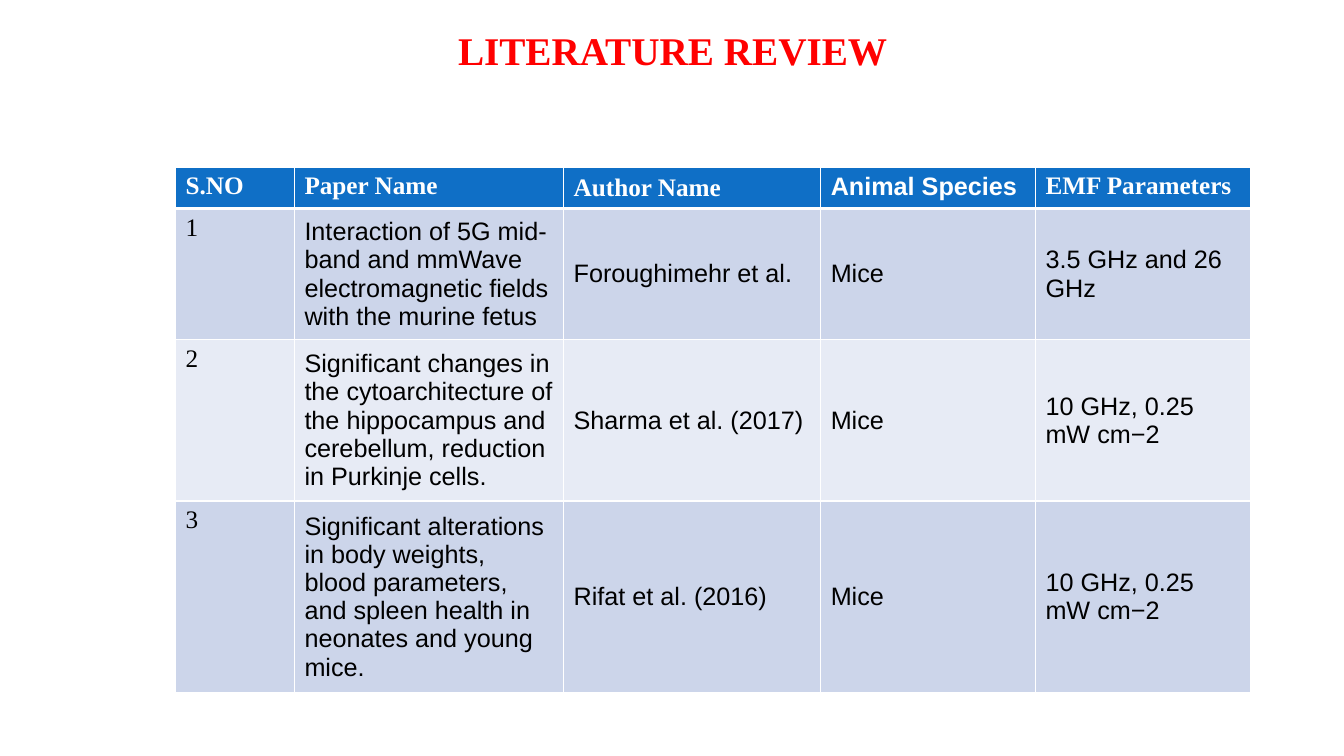
from dataclasses import dataclass
from pptx import Presentation
from pptx import util as u
from pptx.dml.color import RGBColor
from pptx.enum import text as t
from pptx.oxml import parse_xml
from pptx.oxml.ns import nsdecls


@dataclass(frozen=True)
class Theme:
    serif: str = "Times New Roman"
    sans: str = "Arial"
    title: str = "FF0000"
    head: str = "0F6FC6"
    odd: str = "CCD5EA"
    even: str = "E7EBF5"
    white: str = "FFFFFF"
    black: str = "000000"
    big: int = 28
    body: int = 18


THEME = Theme()
WIDTHS = [1.18, 2.67, 2.55, 2.13, 2.13]
HEIGHTS = [0.41, 1.22, 1.5, 1.78]
ROWS = [
    ["S.NO", "Paper Name", "Author Name", "Animal Species", "EMF Parameters"],
    ["1", "Interaction of 5G mid-band and mmWave electromagnetic fields with the murine fetus",
     "Foroughimehr et al.", "Mice", "3.5 GHz and 26 GHz"],
    ["2", "Significant changes in the cytoarchitecture of the hippocampus and cerebellum, "
     "reduction in Purkinje cells.", "Sharma et al. (2017)", "Mice", "10 GHz, 0.25 mW cm−2"],
    ["3", "Significant alterations in body weights, blood parameters, and spleen health in "
     "neonates and young mice.", "Rifat et al. (2016)", "Mice", "10 GHz, 0.25 mW cm−2"],
]


def apply(item, values):
    for name, value in values.items():
        setattr(item, name, value)


def write(para, words, face, size, color, bold):
    run = para.add_run()
    run.text = words
    apply(run.font, {"name": face, "size": u.Pt(size), "bold": bold})
    run.font.color.rgb = RGBColor.from_string(color)


def border(cell, sides):
    props = cell._tc.get_or_add_tcPr()
    for spot, (side, width) in enumerate(sides.items()):
        props.insert(spot, parse_xml(
            f'<a:ln{side} {nsdecls("a")} w="{u.Pt(width)}"><a:solidFill>'
            f'<a:srgbClr val="{THEME.white}"/></a:solidFill></a:ln{side}>'))


def add_title(slide, left, top, width, height):
    box = slide.shapes.add_textbox(*map(u.Inches, (left, top, width, height)))
    apply(box.text_frame, {
        "word_wrap": True, "vertical_anchor": t.MSO_ANCHOR.BOTTOM,
        "margin_left": 0, "margin_top": u.Inches(0.05),
        "margin_right": 0, "margin_bottom": 0})
    para = box.text_frame.paragraphs[0]
    para.alignment = t.PP_ALIGN.CENTER
    write(para, "LITERATURE REVIEW", THEME.serif, THEME.big, THEME.title, True)


def fill_cell(cell, row, col, words):
    head = row == 0
    serif = col == 0 or (head and col != 3)
    middle = col == 2 if head else col > 0
    shade = THEME.head if head else THEME.odd if row % 2 else THEME.even
    cell.fill.solid()
    cell.fill.fore_color.rgb = RGBColor.from_string(shade)
    cell.vertical_anchor = t.MSO_ANCHOR.MIDDLE if middle else t.MSO_ANCHOR.TOP
    write(cell.text_frame.paragraphs[0], words, THEME.serif if serif else THEME.sans,
          THEME.body, THEME.white if head else THEME.black, head)
    border(cell, {"L": 1, "R": 1, "T": 3 if row == 1 else 1, "B": 3 if head else 1})


def add_review(slide, left, top):
    frame = slide.shapes.add_table(
        len(ROWS), len(WIDTHS),
        *map(u.Inches, (left, top, sum(WIDTHS), sum(HEIGHTS))))
    table = frame.table
    for col, width in zip(table.columns, WIDTHS):
        col.width = u.Inches(width)
    for row, height in zip(table.rows, HEIGHTS):
        row.height = u.Inches(height)
    for row, line in enumerate(ROWS):
        for col, words in enumerate(line):
            fill_cell(table.cell(row, col), row, col, words)


def main():
    deck = Presentation()
    apply(deck, {"slide_width": u.Inches(13.33), "slide_height": u.Inches(7.5)})
    slide = deck.slides.add_slide(deck.slide_layouts[6])
    add_title(slide, 0.67, 0.15, 12, 0.58)
    add_review(slide, 1.74, 1.66)
    deck.save("out.pptx")


if __name__ == "__main__":
    main()
